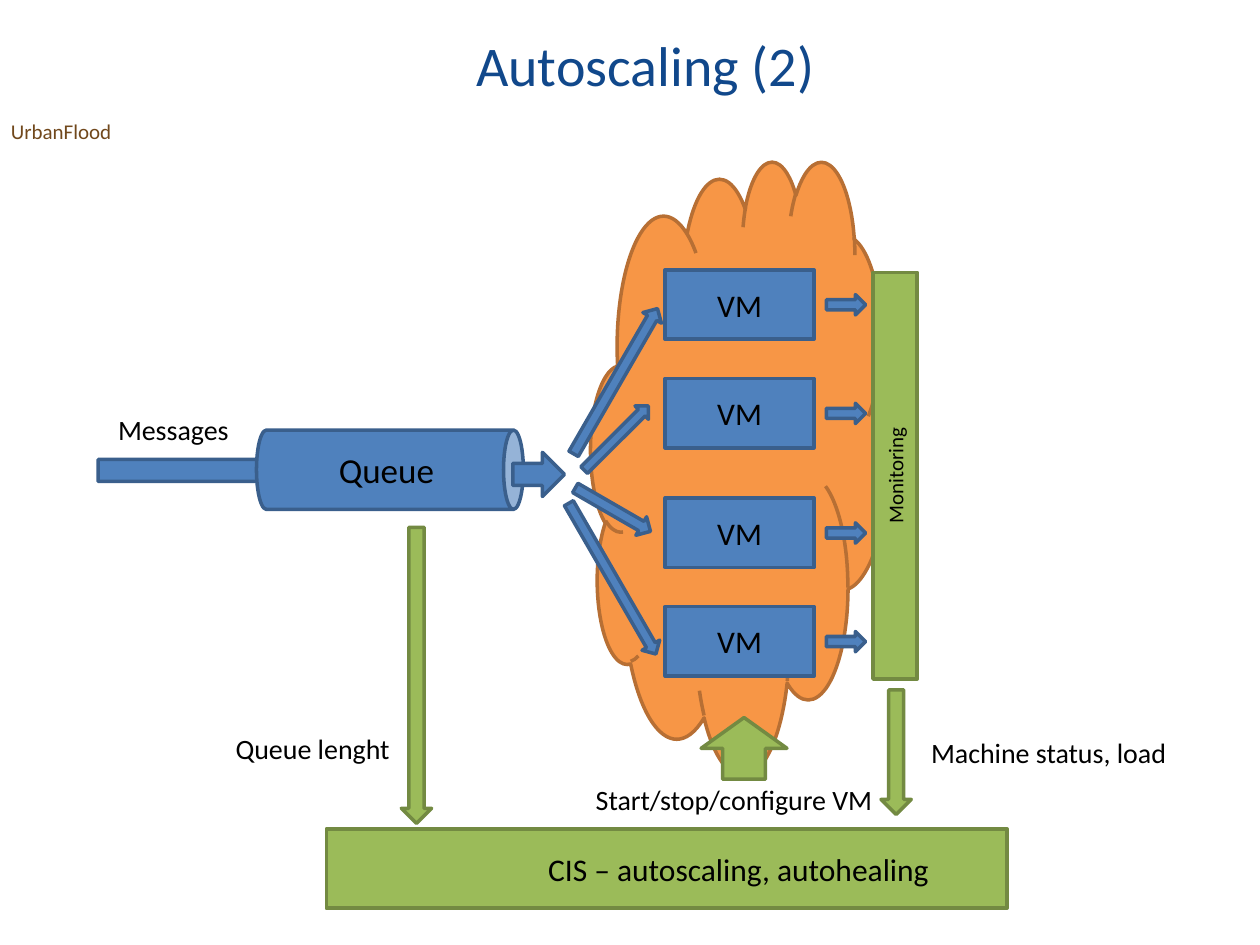
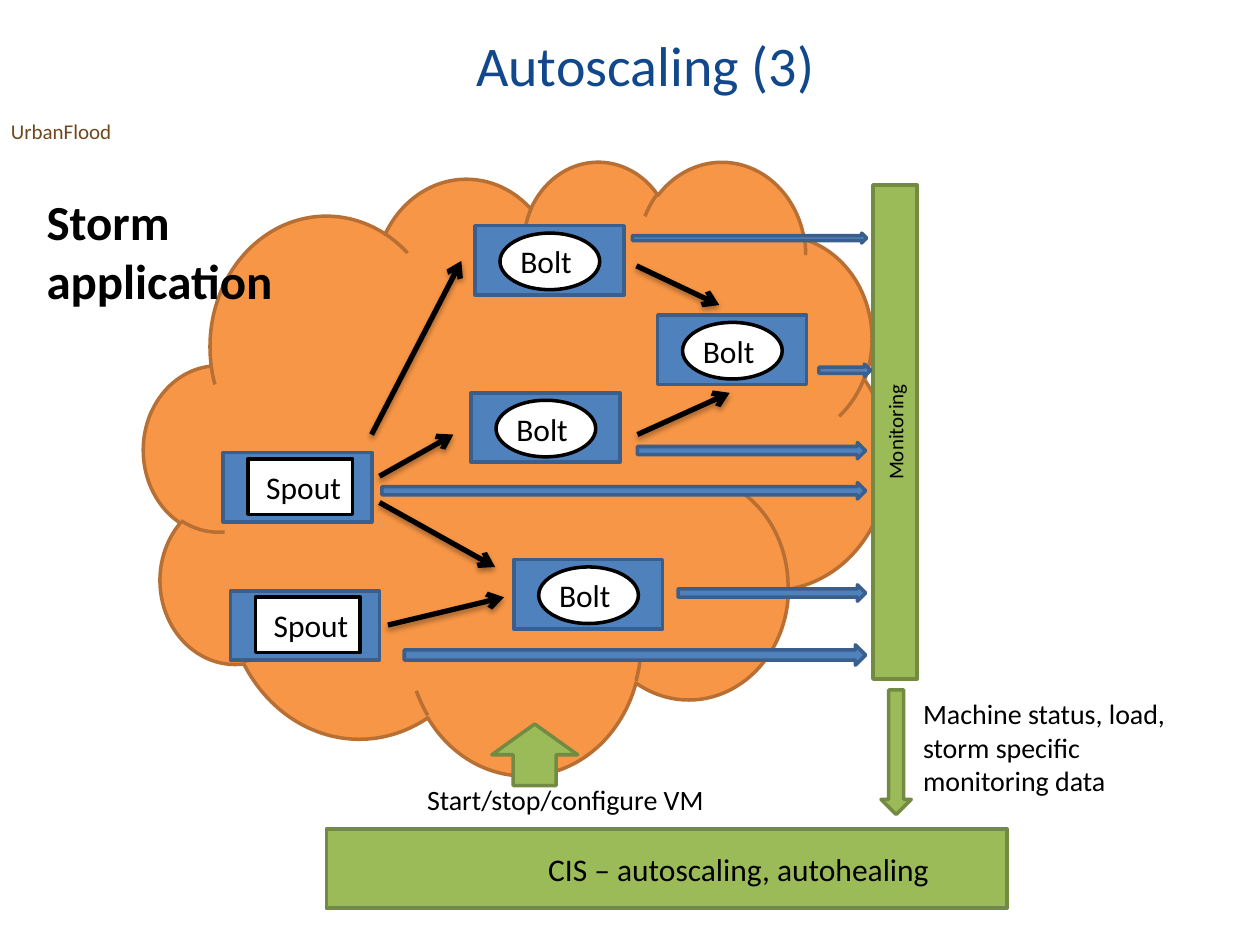
from dataclasses import dataclass

from lxml import etree
from pptx import Presentation
from pptx.dml.color import RGBColor
from pptx.enum import shapes, text
from pptx.oxml import ns
from pptx.util import Cm, Pt

MSO = shapes.MSO_SHAPE
ALIGN = text.PP_ALIGN


@dataclass(frozen=True)
class Theme:
    font: str = "Calibri"
    title: str = "11488B"
    project: str = "71481C"
    ink: str = "000000"
    paper: str = "FFFFFF"
    blue: tuple = ("4F81BD", "3A5F8C")
    green: tuple = ("9BBB59", "738A42")
    orange: tuple = ("F79646", "B76F34")
    white: tuple = ("FFFFFF", "000000")
    title_pt: int = 32
    heading_pt: int = 28
    queue_pt: int = 20
    node_pt: int = 18
    label_pt: int = 16
    small_pt: int = 12
    outline_pt: int = 2
    flow_pt: int = 3


T = Theme()


@dataclass(frozen=True)
class Box:
    x: float
    y: float
    w: float
    h: float

    def at(self, dx, dy, w, h):
        return Box(self.x + dx, self.y + dy, w, h)

    def cm(self):
        return Cm(self.x), Cm(self.y), Cm(self.w), Cm(self.h)


def rgb(value):
    return RGBColor.from_string(value)


def write(tf, lines, size, color=T.ink, bold=False, align=ALIGN.LEFT):
    for i, line in enumerate(lines.split("\n")):
        p = tf.paragraphs[0] if i == 0 else tf.add_paragraph()
        p.alignment = align
        r = p.add_run()
        r.text = line
        r.font.name = T.font
        r.font.size = Pt(size)
        r.font.bold = bold
        r.font.color.rgb = rgb(color)


def label(s, box, lines, size=T.label_pt, **style):
    tf = s.shapes.add_textbox(*box.cm()).text_frame
    tf.word_wrap = False
    tf.auto_size = text.MSO_AUTO_SIZE.SHAPE_TO_FIT_TEXT
    write(tf, lines, size, **style)


def shape(parent, kind, box, colors, rotation=0):
    sp = parent.shapes.add_shape(kind, *box.cm())
    sp.shadow.inherit = False
    sp.fill.solid()
    sp.fill.fore_color.rgb = rgb(colors[0])
    sp.line.color.rgb = rgb(colors[1])
    sp.line.width = Pt(T.outline_pt)
    sp.rotation = rotation
    return sp


def caption(sp, line, size=T.node_pt, align=ALIGN.CENTER, left=0, right=0):
    tf = sp.text_frame
    tf.word_wrap = False
    tf.vertical_anchor = text.MSO_ANCHOR.MIDDLE
    tf.margin_left, tf.margin_right = Cm(left), Cm(right)
    tf.margin_top = tf.margin_bottom = 0
    write(tf, line, size, align=align)


def arrow(s, box, colors=T.blue, rotation=0):
    return shape(s, MSO.RIGHT_ARROW, box, colors, rotation)


def flow(s, box, start, end):
    points = [Cm(v) for x, y in (start, end) for v in (box.x + x, box.y + y)]
    cn = s.shapes.add_connector(shapes.MSO_CONNECTOR.STRAIGHT, *points)
    cn.line.color.rgb = rgb(T.ink)
    cn.line.width = Pt(T.flow_pt)
    props = cn._element.spPr
    etree.SubElement(props.find(ns.qn("a:ln")), ns.qn("a:tailEnd"), type="arrow")
    effects = etree.SubElement(props, ns.qn("a:effectLst"))
    shadow = etree.SubElement(effects, ns.qn("a:outerShdw"), blurRad="40000",
                              dist="23000", dir="5400000", rotWithShape="0")
    color = etree.SubElement(shadow, ns.qn("a:srgbClr"), val=T.ink)
    etree.SubElement(color, ns.qn("a:alpha"), val="35000")


def base_slide(prs, title):
    s = prs.slides.add_slide(prs.slide_layouts[5])
    s.background.fill.solid()
    s.background.fill.fore_color.rgb = rgb(T.paper)
    label(s, Box(-0.03, 2.26, 3.3, 0.76), "UrbanFlood", T.small_pt, color=T.project)
    sp = s.shapes.title
    sp.left, sp.top, sp.width, sp.height = Box(3.51, 0, 19, 2.39).cm()
    tf = sp.text_frame
    tf.auto_size = text.MSO_AUTO_SIZE.NONE
    tf.vertical_anchor = text.MSO_ANCHOR.MIDDLE
    write(tf, title, T.title_pt, T.title, align=ALIGN.CENTER)
    tf.paragraphs[0].line_spacing = 1.15
    return s


def monitoring(s, box, note, note_box):
    bar = shape(s, MSO.RECTANGLE, box, T.green)
    caption(bar, "Monitoring", T.small_pt)
    bar.text_frame._txBody.bodyPr.set("vert", "vert270")
    arrow(s, box.at(-0.79, box.h + 1.17, 2.51, 0.61), T.green, 90)
    label(s, note_box, note)


def controller(s, box, command_box, command_arrow):
    bar = shape(s, MSO.RECTANGLE, box, T.green)
    caption(bar, "CIS – autoscaling, autohealing", align=ALIGN.LEFT, left=4.47)
    arrow(s, command_arrow, T.green, 270)
    label(s, command_box, "Start/stop/configure VM")


def vm_pool(s, box):
    for row in range(4):
        pair, place = divmod(row, 2)
        vm = box.at(1.5, 2.21 + 4.6 * pair + 2.19 * place, 3, 1.4)
        caption(shape(s, MSO.RECTANGLE, vm, T.blue), "VM")
        arrow(s, vm.at(3.25, 0.5, 0.79, 0.41))
    for x, y, w, h, angle in ((-1.19, 4.24, 3.38, 0.43, 300),
                              (-0.4, 5.41, 1.83, 0.38, 315),
                              (-0.43, 6.83, 1.75, 0.43, 30),
                              (-1.32, 8.23, 3.51, 0.41, 60)):
        arrow(s, box.at(x, y, w, h), rotation=angle)


def message_queue(s, box):
    arrow(s, box.at(0, 0.84, 4.39, 0.89))
    label(s, box.at(0.15, 0, 2.77, 0.94), "Messages")
    shape(s, MSO.CAN, box.at(5.08, -1.42, 1.6, 5.38), T.blue, 90)
    label(s, box.at(4.6, 0.72, 2.46, 1.12), "Queue", T.queue_pt)
    arrow(s, box.at(8.36, 0.92, 1.04, 0.89))
    arrow(s, box.at(3.43, 5.11, 5.97, 0.61), T.green, 90)
    label(s, box.at(2.52, 6.43, 3.66, 0.94), "Queue lenght")


def storm_node(s, box, name):
    group = s.shapes.add_group_shape()
    shape(group, MSO.RECTANGLE, box, T.blue)
    if name == "Bolt":
        inner = shape(group, MSO.OVAL, box.at(0.5, 0.15, 2.01, 1.14), T.white)
        caption(inner, name, right=0.15)
    else:
        inner = shape(group, MSO.RECTANGLE, box.at(0.5, 0.13, 2.11, 1.12), T.white)
        caption(inner, name, left=0.13)


def storm_topology(s, box):
    for x, y, w, h in ((9.85, 1.47, 4.72, 0.2), (13.61, 4.11, 1.04, 0.25),
                       (9.95, 5.69, 4.6, 0.33), (4.8, 6.5, 9.75, 0.33),
                       (10.77, 8.56, 3.78, 0.33), (5.25, 9.77, 9.3, 0.41)):
        arrow(s, box.at(x, y, w, h))
    for name, x, y in (("Bolt", 6.68, 1.32), ("Bolt", 10.36, 3.12),
                       ("Bolt", 6.6, 4.69), ("Bolt", 7.46, 8.05),
                       ("Spout", 1.6, 5.89), ("Spout", 1.75, 8.68)):
        storm_node(s, box.at(x, y, 3, 1.4), name)
    for start, end in (((4.59, 5.53), (6.4, 2.03)), ((4.75, 6.37), (6.24, 5.53)),
                       ((4.75, 6.9), (7.08, 8.2)), ((4.92, 9.37), (7.26, 8.81)),
                       ((9.95, 5.53), (11.81, 4.69)), ((9.93, 2.13), (11.6, 2.92))):
        flow(s, box, start, end)
    label(s, box.at(-2.21, 0.5, 5.13, 2.64), "Storm\napplication", T.heading_pt, bold=True)


CONTROLLER = Box(6.58, 16.71, 13.72, 1.6)


def queue_slide(prs):
    s = base_slide(prs, "Autoscaling (2)")
    cloud = Box(11.91, 3.23, 5.99, 12.37)
    shape(s, MSO.CLOUD, cloud, T.orange)
    monitoring(s, Box(17.6, 5.49, 0.89, 8.2), "Machine status, load",
               Box(18.52, 14.71, 5.31, 0.94))
    vm_pool(s, cloud)
    message_queue(s, Box(1.98, 8.2, 9.4, 11.08))
    controller(s, CONTROLLER, Box(11.76, 15.65, 6.17, 0.94),
               Box(14.38, 14.22, 1.24, 1.73))


def storm_slide(prs):
    s = base_slide(prs, "Autoscaling (3)")
    cloud = Box(2.9, 3.23, 15.01, 12.37)
    shape(s, MSO.CLOUD, cloud, T.orange)
    monitoring(s, Box(17.6, 3.73, 0.89, 9.96),
               "Machine status, load,\nstorm specific\nmonitoring data",
               Box(18.36, 13.92, 5.56, 2.31))
    storm_topology(s, cloud)
    controller(s, CONTROLLER, Box(8.36, 15.65, 6.17, 0.94),
               Box(10.16, 14.35, 1.24, 1.73))


def main():
    prs = Presentation()
    prs.slide_width, prs.slide_height = Cm(25.4), Cm(19.05)
    queue_slide(prs)
    storm_slide(prs)
    prs.save("out.pptx")


if __name__ == "__main__":
    main()
